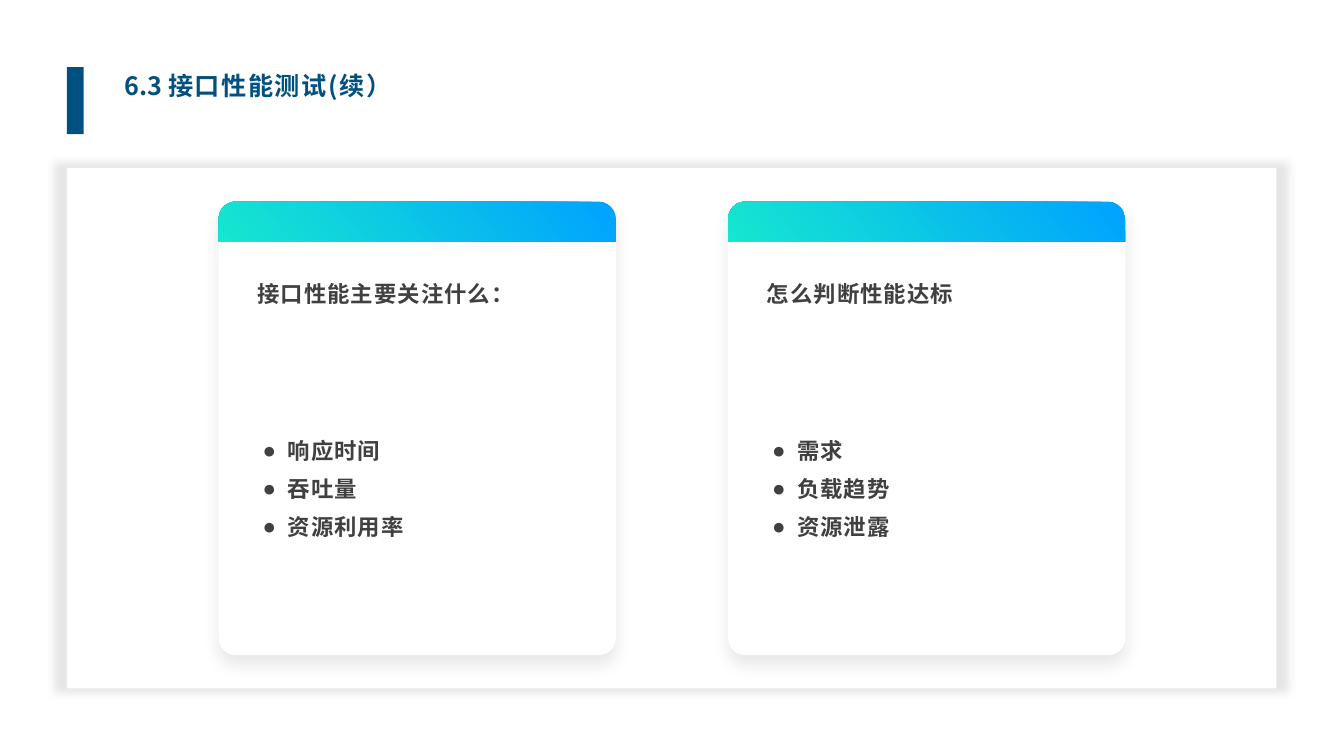
from lxml import etree
from pptx import Presentation
from pptx import util as u
from pptx.dml.color import RGBColor
from pptx.enum import shapes, text
from pptx.oxml import ns

NAVY = RGBColor(0x00, 0x51, 0x80)
GREY = RGBColor(0x40, 0x40, 0x40)
WHITE = RGBColor(0xFF, 0xFF, 0xFF)
BLUE = RGBColor(0x00, 0xA2, 0xFF)
MINT = RGBColor(0x16, 0xE7, 0xCF)
BLACK = RGBColor(0x00, 0x00, 0x00)
SOOT = RGBColor(0x1A, 0x1A, 0x1A)

FONT = "Noto Sans CJK SC"
CARD_TOP, CARD_WIDTH, CARD_HEIGHT = 4, 7.88, 9
CARD_LEFT, CARD_STEP = 4.34, 10.11
CARDS = [
    ("接口性能主要关注什么：", ["响应时间", "吞吐量", "资源利用率"]),
    ("怎么判断性能达标", ["需求", "负载趋势", "资源泄露"]),
]


def add_child(parent, tag, **attributes):
    return etree.SubElement(parent, ns.qn(tag), attributes)


def add_block(page, kind, left, top, width, height, colour=None):
    """Add an unlined preset shape, filled if a colour is given."""
    block = page.shapes.add_shape(kind, *map(u.Inches, (left, top, width, height)))
    block.shadow.inherit = False
    block.line.fill.background()
    if colour is not None:
        block.fill.solid()
        block.fill.fore_color.rgb = colour
    return block


def add_shadow(block, colour, blur, distance=0, angle=0, scale=100):
    """Give a block a soft outer shadow at 10 % opacity."""
    effects = block._element.spPr.find(ns.qn("a:effectLst"))
    shadow = add_child(
        effects, "a:outerShdw", blurRad=str(u.Pt(blur)), dist=str(u.Pt(distance)),
        dir=str(angle * 60000), sx=str(scale * 1000), sy=str(scale * 1000),
        algn="ctr", rotWithShape="0")
    tint = add_child(shadow, "a:srgbClr", val=str(colour))
    add_child(tint, "a:alpha", val="10000")


def place_text(box, left, top, width, height, inset_x=0.1, inset_y=0.05):
    """Move a placeholder in front of the blocks drawn so far."""
    box.left, box.top, box.width, box.height = map(
        u.Inches, (left, top, width, height))
    box._element.getparent().append(box._element)
    frame = box.text_frame
    frame.word_wrap = True
    frame.auto_size = text.MSO_AUTO_SIZE.NONE
    frame.vertical_anchor = text.MSO_ANCHOR.TOP
    frame.margin_left = frame.margin_right = u.Inches(inset_x)
    frame.margin_top = frame.margin_bottom = u.Inches(inset_y)
    return frame


def format_paragraph(para, size, colour, spacing=0):
    para.alignment = text.PP_ALIGN.LEFT
    para.space_before = u.Pt(0)
    font = para.font
    font.size, font.bold, font.name = u.Pt(size), True, FONT
    font.color.rgb = colour
    defaults = para._p.pPr.find(ns.qn("a:defRPr"))
    add_child(defaults, "a:ea", typeface=FONT)
    if spacing:
        defaults.set("spc", str(round(spacing * 100)))


def add_bullet(para):
    properties = para._p.get_or_add_pPr()
    properties.set("marL", str(u.Inches(0.5)))
    properties.set("indent", str(-u.Inches(0.5)))
    add_child(properties, "a:buChar", char="●")
    para.line_spacing = 1.2
    para.space_after = u.Pt(8)


def fill_title(box):
    para = place_text(box, 2.33, 1.33, 22.33, 1.33, 0.14, 0.06).paragraphs[0]
    para.add_run().text = "6.3 "
    span = para.add_run()
    span.text = "接口性能测试(续）"
    span.font._element.set("spc", "220")
    format_paragraph(para, 36, NAVY)


def add_card(page, left, heading_box, list_box, heading, items):
    card = add_block(page, shapes.MSO_SHAPE.ROUNDED_RECTANGLE,
                     left, CARD_TOP, CARD_WIDTH, CARD_HEIGHT, WHITE)
    card.adjustments[0] = 0.043
    add_shadow(card, SOOT, 23, 13, 90)

    # Gradient band with rounded top corners
    band = add_block(page, shapes.MSO_SHAPE.ROUND_2_SAME_RECTANGLE,
                     left, CARD_TOP, CARD_WIDTH, 0.8)
    band.adjustments[0] = 0.43
    band.fill.gradient()
    band.fill.gradient_angle = 220
    for stop, colour in zip(band.fill.gradient_stops, (BLUE, MINT)):
        stop.color.rgb = colour

    # Bulleted list, then heading
    frame = place_text(list_box, left + 0.67, 8.47, 6.49, 3.96, 0.2, 0.1)
    frame.text = "\n".join(items)
    for para in frame.paragraphs:
        add_bullet(para)
        format_paragraph(para, 32, GREY, 1.4)
    frame = place_text(heading_box, left + 0.67, 5.5, 6.52, 2.84)
    frame.text = heading
    format_paragraph(frame.paragraphs[0], 32, GREY, 1.4)


def main():
    deck = Presentation()
    deck.slide_width, deck.slide_height = u.Inches(26.67), u.Inches(15)
    page = deck.slides.add_slide(deck.slide_layouts.get_by_name("Comparison"))
    title, *boxes = page.placeholders

    # White panel behind the cards
    panel = add_block(page, shapes.MSO_SHAPE.RECTANGLE, 1.33, 3.33, 24, 10.33, WHITE)
    add_shadow(panel, BLACK, 12, scale=102)

    fill_title(title)
    for index, (heading, items) in enumerate(CARDS):
        heading_box, list_box = boxes[2 * index:2 * index + 2]
        add_card(page, CARD_LEFT + index * CARD_STEP,
                 heading_box, list_box, heading, items)

    # Accent bar beside the title
    add_block(page, shapes.MSO_SHAPE.RECTANGLE, 1.33, 1.33, 0.33, 1.33, NAVY)
    deck.save("out.pptx")


if __name__ == "__main__":
    main()
